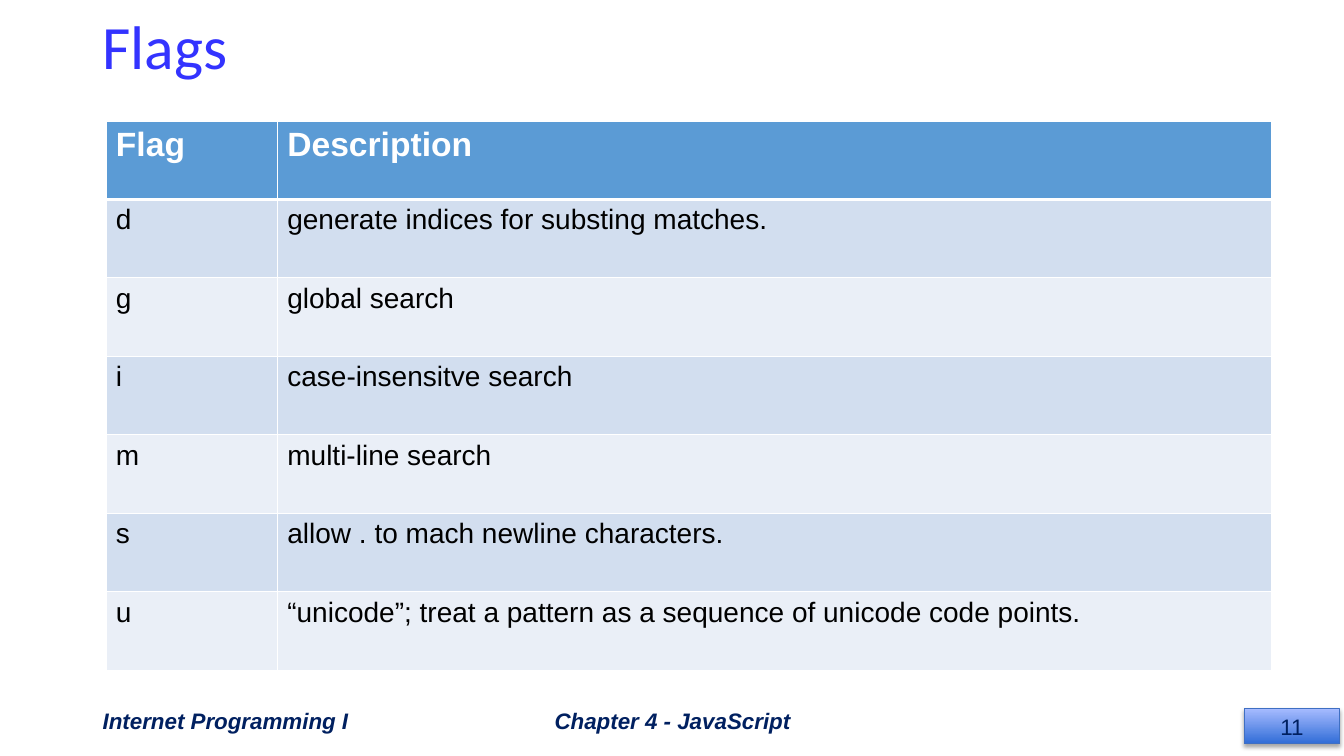
"""Build the slide that lists the regular expression flags."""
from lxml import etree
from pptx import Presentation, util as u
from pptx.dml.color import RGBColor
from pptx.enum import shapes, text
from pptx.oxml import parse_xml
from pptx.oxml.ns import nsdecls

W, H = 13.33, 7.5
COLORS = {
    "title": "3333FF", "navy": "002060", "header": "5B9BD5",
    "band_dark": "D2DEEF", "band_light": "EAEFF7", "white": "FFFFFF",
    "black": "000000", "badge_low": "316DD7", "badge_high": "A6BBFF",
    "badge_line": "3F6FC3",
}
FLAGS = [
    ("Flag", "Description"),
    ("d", "generate indices for substing matches."),
    ("g", "global search"),
    ("i", "case-insensitve search"),
    ("m", "multi-line search"),
    ("s", "allow . to mach newline characters."),
    ("u", "“unicode”; treat a pattern as a sequence of unicode code points."),
]


def rgb(name):
    """Return a named colour."""
    return RGBColor.from_string(COLORS[name])


def across(share):
    """Return a percentage of the slide width."""
    return u.Inches(W * share / 100)


def down(share):
    """Return a percentage of the slide height."""
    return u.Inches(H * share / 100)


def box(left, top, width, height):
    """Return a frame given in percentages of the slide."""
    return across(left), down(top), across(width), down(height)


def write(tf, words, size, color, font="Arial", bold=False, italic=False,
          align=text.PP_ALIGN.LEFT):
    """Put one formatted paragraph in a text frame and return it."""
    tf.text = words
    p = tf.paragraphs[0]
    p.alignment = align
    f = p.runs[0].font
    f.name, f.size, f.bold, f.italic = font, u.Pt(size), bold, italic
    f.color.rgb = rgb(color)
    return p


def add_label(s, frame, words, size, color, anchor=text.MSO_ANCHOR.MIDDLE,
              **style):
    """Add a wrapped text box and return its paragraph."""
    tf = s.shapes.add_textbox(*box(*frame)).text_frame
    tf.word_wrap = True
    tf.vertical_anchor = anchor
    return write(tf, words, size, color, **style)


def add_badge(s, frame, number):
    """Add the shaded page number badge."""
    sp = s.shapes.add_shape(shapes.MSO_SHAPE.RECTANGLE, *box(*frame))
    sp.fill.gradient()
    sp.fill.gradient_angle = 90
    for stop, name in zip(sp.fill.gradient_stops, ("badge_low", "badge_high")):
        stop.color.rgb = rgb(name)
    sp.line.color.rgb = rgb("badge_line")
    sp.line.width = u.Pt(0.75)
    sp.shadow.inherit = False
    effects = sp._element.spPr.find("{*}effectLst")
    effects.append(parse_xml(
        f'<a:outerShdw {nsdecls("a")} blurRad="{u.Pt(3.1)}" dist="{u.Pt(1.8)}"'
        f' dir="5400000" rotWithShape="0"><a:srgbClr val="{COLORS["black"]}">'
        '<a:alpha val="35000"/></a:srgbClr></a:outerShdw>'))
    sp.text_frame.vertical_anchor = text.MSO_ANCHOR.MIDDLE
    write(sp.text_frame, number, 16, "navy", align=text.PP_ALIGN.CENTER)


def set_borders(cell, **widths):
    """Draw white cell borders with the given point widths."""
    tcPr = cell._tc.get_or_add_tcPr()
    for side, width in widths.items():
        ln = etree.SubElement(tcPr, f"{{{tcPr.nsmap['a']}}}ln{side}",
                              w=str(u.Pt(width)))
        ln.append(parse_xml(
            f'<a:solidFill {nsdecls("a")}><a:srgbClr val="{COLORS["white"]}"/>'
            '</a:solidFill>'))


def add_flag_table(s, left, top, col_widths, row_height, rows):
    """Add the table with a header row and banded body rows."""
    frame = box(left, top, sum(col_widths), row_height * len(rows))
    table = s.shapes.add_table(len(rows), len(col_widths), *frame).table
    for column, width in zip(table.columns, col_widths):
        column.width = across(width)
    for i, row in enumerate(rows):
        table.rows[i].height = down(row_height)
        head = i == 0
        band = "header" if head else ("band_light", "band_dark")[i % 2]
        for j, words in enumerate(row):
            cell = table.cell(i, j)
            set_borders(cell, L=1, R=1, T=3 if i == 1 else 1,
                        B=3 if head else 1)
            cell.fill.solid()
            cell.fill.fore_color.rgb = rgb(band)
            write(cell.text_frame, words, 24 if head else 20,
                  "white" if head else "black", bold=head)


def main():
    """Build and save the slide."""
    prs = Presentation()
    prs.slide_width, prs.slide_height = u.Inches(W), u.Inches(H)
    s = prs.slides.add_slide(prs.slide_layouts[6])
    add_badge(s, (92.57, 93.73, 7.13, 4.67), "11")
    title = add_label(s, (6.9, 0, 82.22, 11.6), "Flags", 44, "title",
                      anchor=text.MSO_ANCHOR.BOTTOM, font="Calibri")
    title.line_spacing = 0.9
    footer = {"size": 16, "color": "navy", "bold": True, "italic": True}
    add_label(s, (6.9, 92.67, 22.5, 5.33), "Internet Programming I", **footer)
    add_label(s, (33.16, 92.67, 33.76, 5.33), "Chapter 4 - JavaScript",
              align=text.PP_ALIGN.CENTER, **footer)
    add_flag_table(s, 7.88, 16, (12.75, 73.97), 10.38, FLAGS)
    prs.save("out.pptx")


main()
